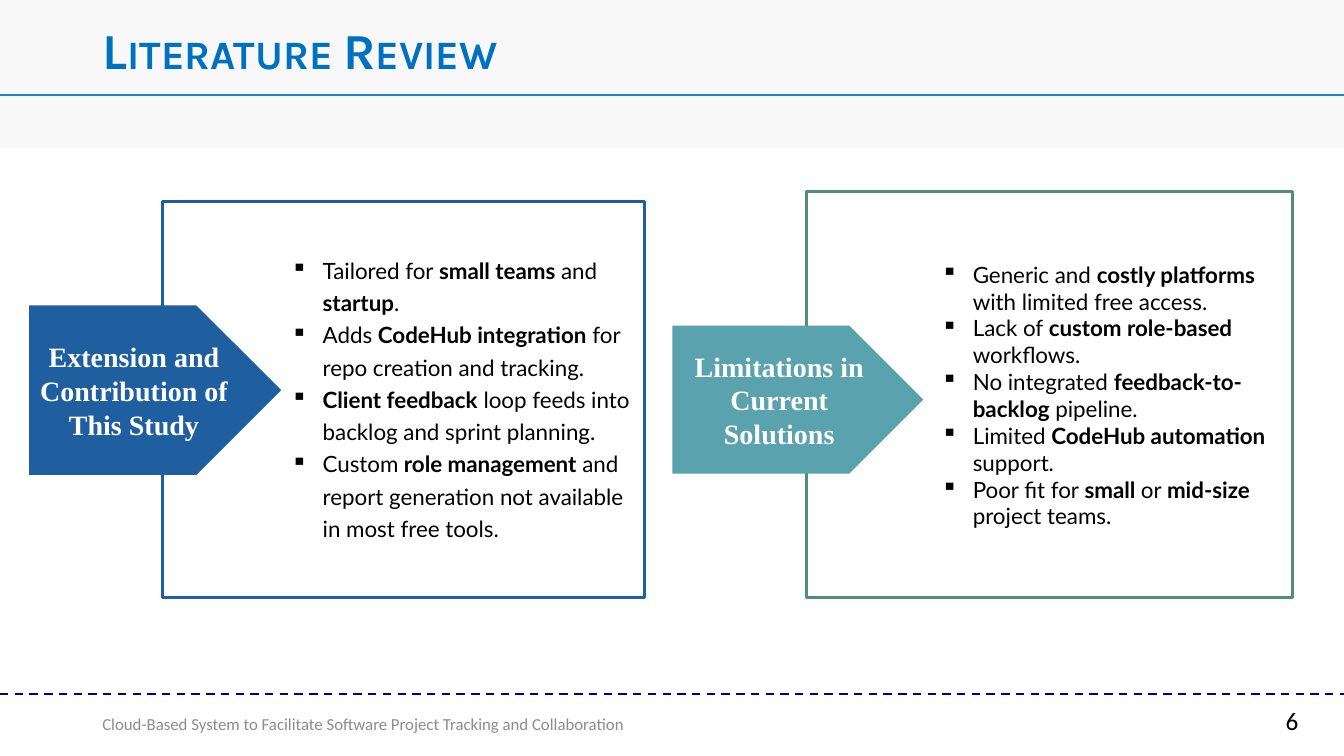
import pptx
import pptx.util
import pptx.dml.color
import pptx.enum.dml
import pptx.enum.shapes
import pptx.enum.text
import lxml.etree

Pt = pptx.util.Pt
SHAPE = pptx.enum.shapes.MSO_SHAPE
ALIGN = pptx.enum.text.PP_ALIGN
ANCHOR = pptx.enum.text.MSO_ANCHOR
NS = "{http://schemas.openxmlformats.org/drawingml/2006/main}"

WIDTH, HEIGHT = 960, 540
TITLE = "Literature Review"
FOOTER = "Cloud-Based System to Facilitate Software Project Tracking and Collaboration"
PAGE = "6"

# Boxes are left, top, width, height; ** marks bold text.
PANELS = [
    {
        "heading": "Extension and Contribution of This Study",
        "frame": (115.9, 144, 344.2, 283), "frame_color": "1F5FA0",
        "arrow": (20.9, 218.2, 180, 121), "arrow_color": "1F5FA0",
        "body": (200.9, 142.6, 258.5, 281.5), "spacing": 1.2,
        "points": [
            "Tailored for** small teams **and **startup**.",
            "Adds **CodeHub integration** for repo creation and tracking.",
            "**Client feedback** loop feeds into backlog and sprint planning.",
            "Custom** role management** and report generation not available in most free tools.",
        ],
    },
    {
        "heading": "Limitations in Current Solutions",
        "frame": (576, 136.8, 347, 290.2), "frame_color": "528D75",
        "arrow": (480.2, 232.6, 179.3, 105.8), "arrow_color": "5AA2AE",
        "body": (665.3, 139.7, 257.8, 285.1), "spacing": 1.0,
        "points": [
            "Generic and **costly platforms** with limited free access.",
            "Lack of** custom role-based** workflows.",
            "No integrated **feedback-to-backlog** pipeline.",
            "Limited **CodeHub automation** support.",
            "Poor fit for** small **or **mid-size** project teams.",
        ],
    },
]

TITLE_FONT = {"name": "Karla", "size": Pt(36), "bold": True}
FOOTER_FONT = {"name": "Calibri", "size": Pt(12)}
PAGE_FONT = {"name": "Calibri", "size": Pt(18)}
HEADING_FONT = {"name": "Times New Roman", "size": Pt(20), "bold": True}
BODY_FONT = {"name": "Lato", "size": Pt(16)}


def rgb(value):
    return pptx.dml.color.RGBColor.from_string(value)


def pts(box):
    return [Pt(v) for v in box]


def add_runs(p, text, font, color):
    """Add text to a paragraph, with the parts between ** in bold."""
    for i, part in enumerate(text.split("**")):
        if part:
            r = p.add_run()
            r.text = part
            for name, value in font.items():
                setattr(r.font, name, value)
            if i % 2:
                r.font.bold = True
            r.font.color.rgb = rgb(color)


def add_box(s, box, fill=None, line=None, kind=SHAPE.RECTANGLE):
    sp = s.shapes.add_shape(kind, *pts(box))
    sp.shadow.inherit = False
    if fill:
        sp.fill.solid()
        sp.fill.fore_color.rgb = rgb(fill)
    else:
        sp.fill.background()
    if line:
        sp.line.color.rgb = rgb(line)
        sp.line.width = Pt(2)
    else:
        sp.line.fill.background()
    return sp


def add_rule(s, y, color, width, dash=None):
    """Draw a line across the whole slide."""
    c = s.shapes.add_connector(pptx.enum.shapes.MSO_CONNECTOR.STRAIGHT,
                               0, Pt(y), Pt(WIDTH), Pt(y))
    c.line.color.rgb = rgb(color)
    c.line.width = Pt(width)
    if dash:
        c.line.dash_style = dash
    lxml.etree.SubElement(c._element.spPr, NS + "effectLst")


def add_text(s, box, anchor):
    tf = s.shapes.add_textbox(*pts(box)).text_frame
    tf.word_wrap = True
    tf.vertical_anchor = anchor
    return tf


def add_bullet(p):
    pPr = p._p.get_or_add_pPr()
    pPr.set("marL", str(Pt(22.5)))
    pPr.set("indent", str(-Pt(22.5)))
    lxml.etree.SubElement(pPr, NS + "buChar", char="▪")


def add_title(s):
    sp = s.shapes.title
    sp.left, sp.top, sp.width, sp.height = pts((66, 10.8, 828, 54.7))
    sp._element.getparent().append(sp._element)  # in front of the header band
    tf = sp.text_frame
    tf.auto_size = pptx.enum.text.MSO_AUTO_SIZE.NONE
    tf.vertical_anchor = ANCHOR.MIDDLE
    p = tf.paragraphs[0]
    p.alignment = ALIGN.LEFT
    p.line_spacing = 0.9
    add_runs(p, TITLE, TITLE_FONT, "0070C0")
    p.runs[0].font._element.set("cap", "small")


def add_footer(s):
    p = add_text(s, (66, 500.4, 399.6, 28.8), ANCHOR.MIDDLE).paragraphs[0]
    p.line_spacing = 1.3
    add_runs(p, FOOTER, FOOTER_FONT, "8C8C8C")
    p = add_text(s, (894.2, 500.4, 40.3, 28.8), ANCHOR.TOP).paragraphs[0]
    p.alignment = ALIGN.RIGHT
    add_runs(p, PAGE, PAGE_FONT, "000000")


def add_panel(s, panel):
    add_box(s, panel["frame"], line=panel["frame_color"])
    arrow = add_box(s, panel["arrow"], fill=panel["arrow_color"], kind=SHAPE.PENTAGON)
    tf = arrow.text_frame
    tf.word_wrap = True
    tf.vertical_anchor = ANCHOR.MIDDLE
    p = tf.paragraphs[0]
    p.alignment = ALIGN.CENTER
    add_runs(p, panel["heading"], HEADING_FONT, "FFFFFF")

    tf = add_text(s, panel["body"], ANCHOR.MIDDLE)
    for i, point in enumerate(panel["points"]):
        p = tf.add_paragraph() if i else tf.paragraphs[0]
        add_bullet(p)
        p.line_spacing = panel["spacing"]
        add_runs(p, point, BODY_FONT, "000000")


def main():
    prs = pptx.Presentation()
    prs.slide_width, prs.slide_height = Pt(WIDTH), Pt(HEIGHT)
    s = prs.slides.add_slide(prs.slide_layouts[5])
    add_rule(s, 496, "000099", 1.5, pptx.enum.dml.MSO_LINE.DASH)
    add_box(s, (0, 0, WIDTH, 105.1), fill="F8F8F8")
    add_rule(s, 67.9, "297FD5", 1)
    add_title(s)
    add_footer(s)
    for panel in PANELS:
        add_panel(s, panel)
    prs.save("out.pptx")


if __name__ == "__main__":
    main()
